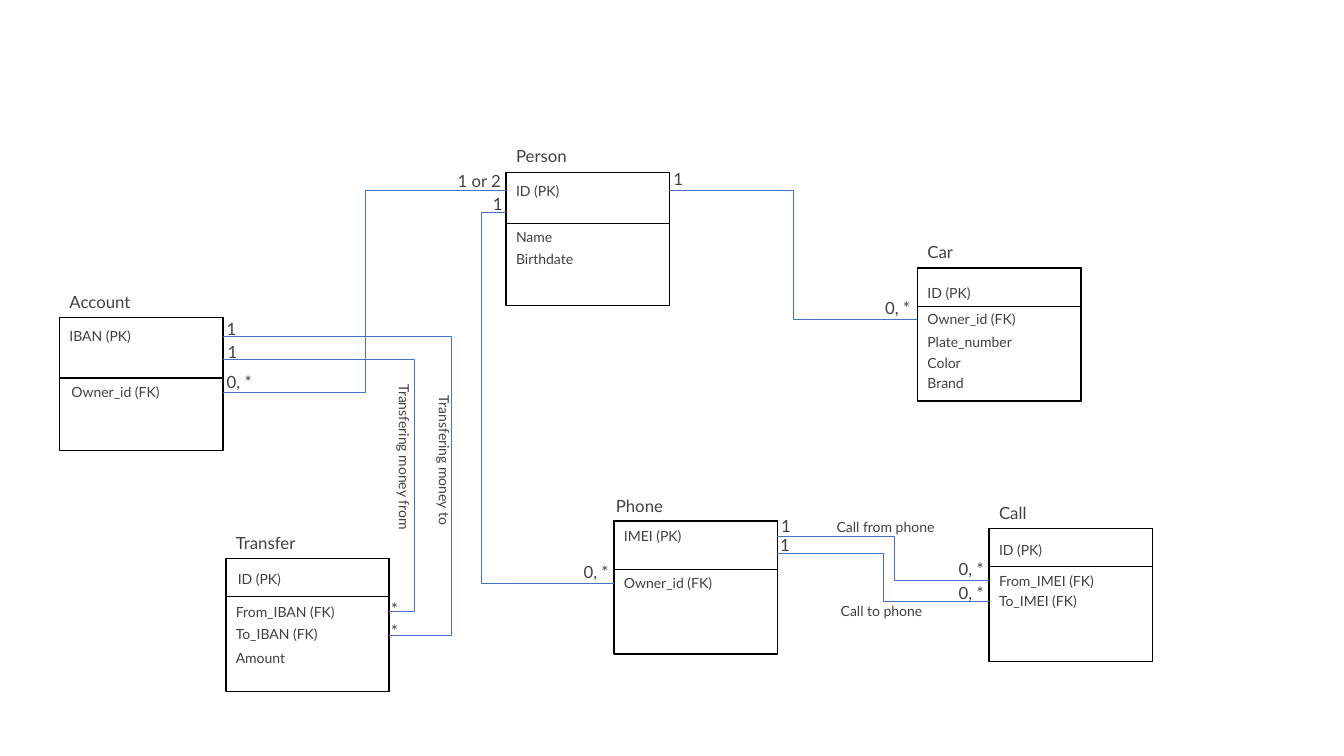
"""Build a slide with an entity-relationship diagram of people, phones, cars and accounts."""
import dataclasses

import pptx
import pptx.dml.color
import pptx.enum.shapes
import pptx.enum.text
import pptx.util
from lxml import etree

EMU_PER_PX = 9144
SLIDE_SIZE = (1333, 750)
BOX_SIZE = (162, 132)
BLANK_LAYOUT = 6


@dataclasses.dataclass(frozen=True)
class Theme:
    font: str = "Lato"
    text: str = "404040"
    border: str = "000000"
    relation: str = "4472C4"
    label_size: int = 12
    field_size: int = 10
    border_width: float = 1
    relation_width: float = 0.5


THEME = Theme()
LINE_HEIGHTS = {THEME.label_size: 30, THEME.field_size: 27}

ENTITIES = [
    {"name": "Person", "box": (502, 171), "key_height": 51, "title": (502, 140, 81),
     "fields": [("ID (PK)", 502, 176), ("Name", 502, 222), ("Birthdate", 502, 244)]},
    {"name": "Car", "box": (910, 266), "key_height": 38, "title": (910, 235, 81),
     "fields": [("ID (PK)", 910, 277), ("Owner_id (FK)", 910, 303), ("Plate_number", 910, 326),
                ("Color", 910, 347), ("Brand", 910, 367)]},
    {"name": "Call", "box": (981, 524), "key_height": 38, "title": (981, 494, 81),
     "fields": [("ID (PK)", 981, 532), ("From_IMEI (FK)", 981, 563), ("To_IMEI (FK)", 981, 583)]},
    {"name": "Phone", "box": (609, 517), "key_height": 48, "title": (601, 487, 81),
     "fields": [("IMEI (PK)", 609, 518), ("Owner_id (FK)", 609, 565)]},
    {"name": "Account", "box": (59, 315), "key_height": 60, "title": (59, 285, 101),
     "fields": [("IBAN (PK)", 59, 320), ("Owner_id (FK)", 61, 376)]},
    {"name": "Transfer", "box": (224, 554), "key_height": 38, "title": (224, 524, 121),
     "fields": [("ID (PK)", 226, 561), ("From_IBAN (FK)", 224, 594), ("To_IBAN (FK)", 224, 616),
                ("Amount", 224, 639)]},
]

# start, end, x of the vertical run
RELATIONS = [
    ((221, 389), (502, 189), 362),
    ((910, 317), (664, 189), 787),
    ((221, 357), (386, 607), 411),
    ((221, 334), (386, 630), 448),
    ((502, 211), (609, 579), 477),
    ((771, 532), (981, 576), 887),
    ((771, 549), (981, 597), 876),
]

CARDINALITIES = [
    ("1 or 2", 444, 164, 64), ("*", 378, 589, 44), ("*", 378, 611, 44),
    ("1", 215, 311, 44), ("1", 216, 334, 44), ("0, *", 868, 290, 48),
    ("1", 658, 162, 64), ("0, *", 215, 364, 48), ("0, *", 941, 549, 48),
    ("0, *", 941, 573, 48), ("1", 765, 507, 44), ("1", 764, 526, 44),
    ("0, *", 569, 552, 48), ("1", 479, 187, 48),
]

RELATION_NAMES = [
    ("Transfering money from", 315, 444, 172, 90),
    ("Transfering money to", 363, 447, 155, 90),
    ("Call from phone", 820, 509, 172, 0),
    ("Call to phone", 824, 593, 172, 0),
]


def px(*lengths):
    return [pptx.util.Emu(round(length * EMU_PER_PX)) for length in lengths]


def color(value):
    return pptx.dml.color.RGBColor.from_string(value)


def apply_format(target, values):
    for name, value in values.items():
        setattr(target, name, value)


def add_text(shapes, text, left, top, width, size, rotation=0):
    shape = shapes.add_textbox(*px(left, top, width, LINE_HEIGHTS[size]))
    shape.rotation = rotation
    apply_format(shape.text_frame, {
        "word_wrap": True,
        "auto_size": pptx.enum.text.MSO_AUTO_SIZE.SHAPE_TO_FIT_TEXT,
    })
    paragraph = shape.text_frame.paragraphs[0]
    run = paragraph.add_run()
    run.text = text
    apply_format(run.font, {"name": THEME.font, "size": pptx.util.Pt(size)})
    run.font.color.rgb = color(THEME.text)


def add_frame(shapes, left, top, width, height):
    shape = shapes.add_shape(pptx.enum.shapes.MSO_SHAPE.RECTANGLE, *px(left, top, width, height))
    shape.shadow.inherit = False
    shape.fill.background()
    shape.line.color.rgb = color(THEME.border)
    shape.line.width = pptx.util.Pt(THEME.border_width)


def add_entity(slide, entity):
    group = slide.shapes.add_group_shape()
    width, height = BOX_SIZE
    for frame_height in (height, entity["key_height"]):
        add_frame(group.shapes, *entity["box"], width, frame_height)
    add_text(group.shapes, entity["name"], *entity["title"], THEME.label_size)
    for text, left, top in entity["fields"]:
        add_text(slide.shapes, text, left, top, width, THEME.field_size)


def add_relation(slide, start, end, bend):
    connector = slide.shapes.add_connector(
        pptx.enum.shapes.MSO_CONNECTOR.ELBOW, *px(*start, *end))
    connector.line.color.rgb = color(THEME.relation)
    connector.line.width = pptx.util.Pt(THEME.relation_width)
    properties = connector._element.spPr
    namespace = "{%s}" % properties.nsmap["a"]
    adjustments = properties.find(f"{namespace}prstGeom").get_or_add_avLst()
    ratio = round((bend - start[0]) / (end[0] - start[0]) * 100000)
    etree.SubElement(adjustments, f"{namespace}gd", name="adj1", fmla=f"val {ratio}")
    etree.SubElement(properties, f"{namespace}effectLst")


def main():
    presentation = pptx.Presentation()
    presentation.slide_width, presentation.slide_height = px(*SLIDE_SIZE)
    slide = presentation.slides.add_slide(presentation.slide_layouts[BLANK_LAYOUT])
    for entity in ENTITIES:
        add_entity(slide, entity)
    for relation in RELATIONS:
        add_relation(slide, *relation)
    for cardinality in CARDINALITIES:
        add_text(slide.shapes, *cardinality, THEME.label_size)
    for text, left, top, width, rotation in RELATION_NAMES:
        add_text(slide.shapes, text, left, top, width, THEME.field_size, rotation)
    presentation.save("out.pptx")


if __name__ == "__main__":
    main()
